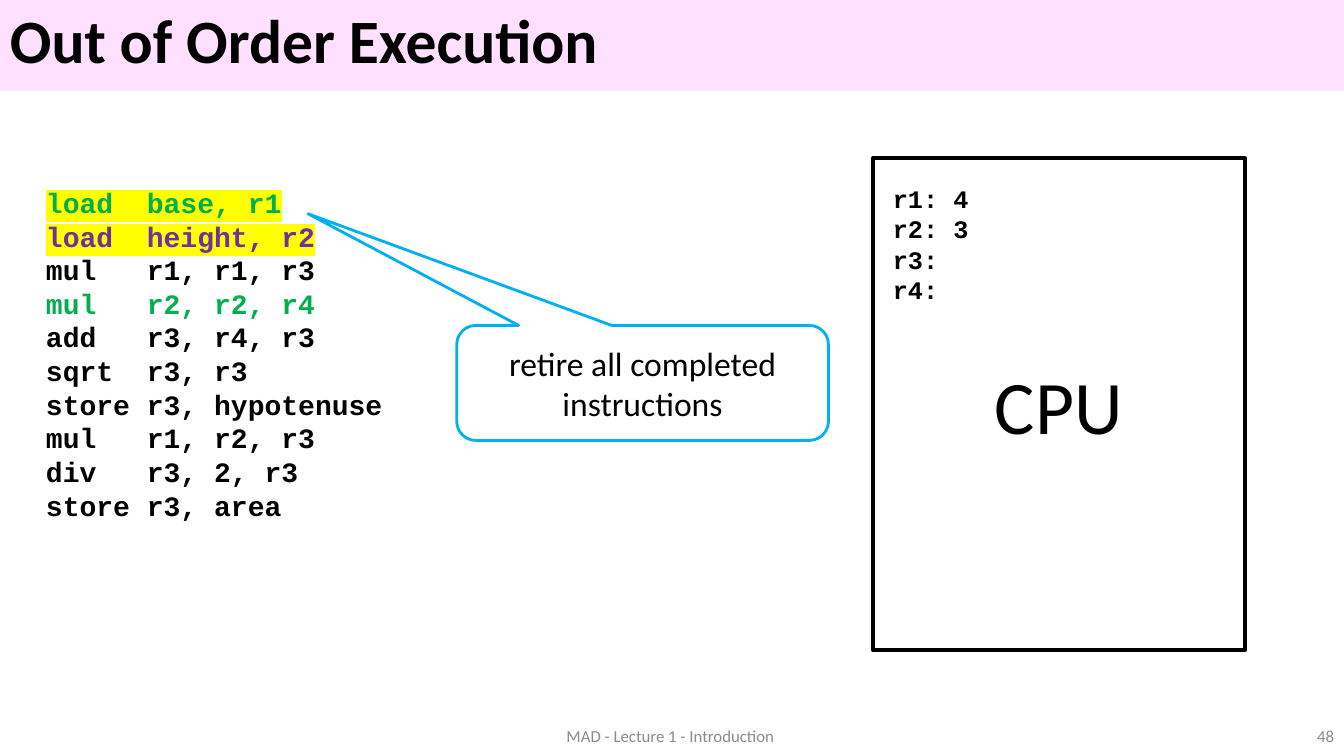
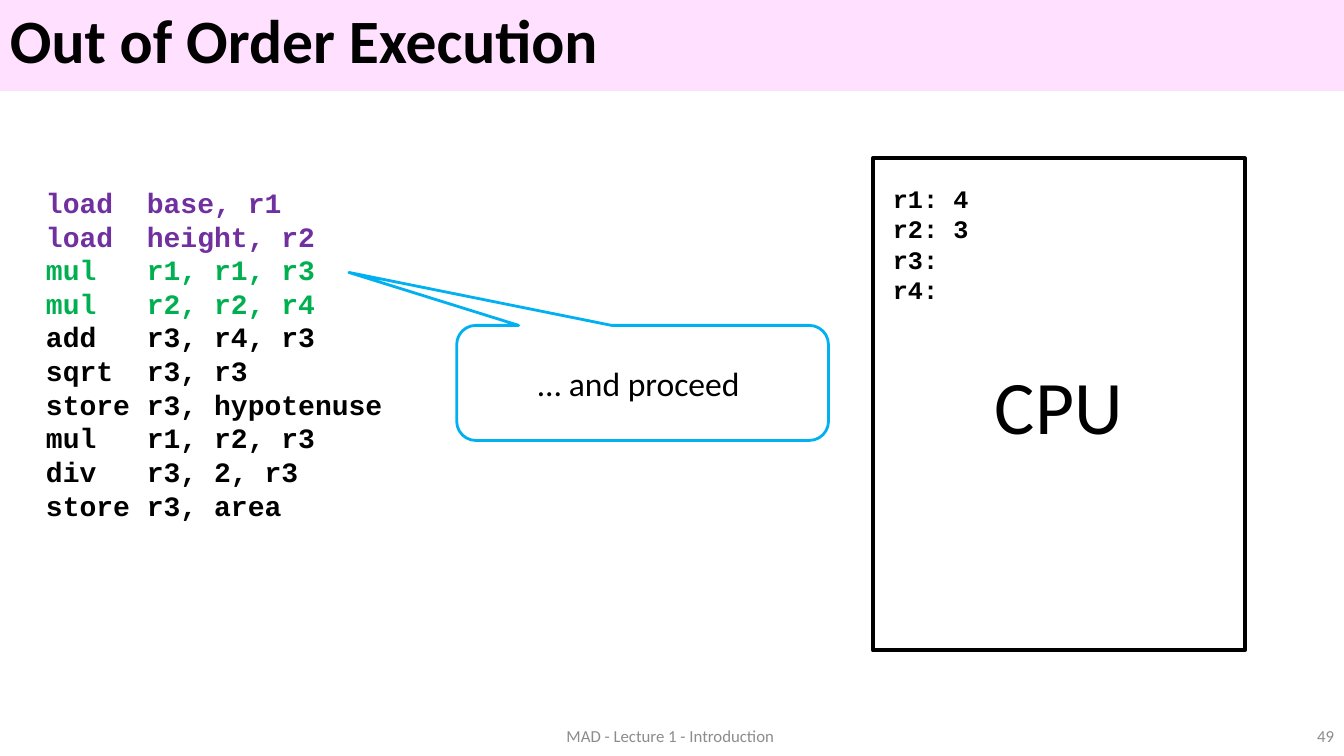
from copy import deepcopy
from dataclasses import dataclass

from lxml import etree
from pptx import Presentation, util as u
from pptx.dml.color import RGBColor
from pptx.enum import shapes, text
from pptx.oxml.ns import qn


@dataclass(frozen=True)
class Theme:
    # Colours
    ink: str = "000000"
    paper: str = "FFFFFF"
    band: str = "FFE0FF"
    grey: str = "8C8C8C"
    done: str = "00B050"
    retired: str = "7030A0"
    marker: str = "FFFF00"
    callout: str = "00B0F0"
    # Fonts and type sizes
    body: str = "Calibri"
    mono: str = "Courier New"
    title_pt: int = 44
    cpu_pt: int = 54
    callout_pt: int = 24
    code_pt: int = 20
    register_pt: int = 18
    footer_pt: int = 12


T = Theme()
WIDTH, HEIGHT = 33.87, 19.05
BAND_PERCENT = 12
MIDDLE = text.MSO_ANCHOR.MIDDLE
CENTER, RIGHT = text.PP_ALIGN.CENTER, text.PP_ALIGN.RIGHT

TITLE = "Out of Order Execution"
FOOTER = "MAD - Lecture 1 - Introduction "
CODE = [
    "load  base, r1",
    "load  height, r2",
    "mul   r1, r1, r3",
    "mul   r2, r2, r4",
    "add   r3, r4, r3",
    "sqrt  r3, r3",
    "store r3, hypotenuse",
    "mul   r1, r2, r3",
    "div   r3, 2, r3",
    "store r3, area",
]
REGISTERS = ["r1: 4", "r2: 3", "r3:", "r4:"]

# Per slide: number, line colours, highlighted lines, callout text and tip
STEPS = [
    (48, {0: T.done, 1: T.retired, 3: T.done}, {0, 1},
     "retire all completed instructions", (-0.9, -1.47)),
    (49, {0: T.retired, 1: T.retired, 2: T.done, 3: T.done}, set(),
     "… and proceed ", (-0.79, -0.96)),
]


def box(left, top, width, height):
    return [u.Cm(v) for v in (left, top, width, height)]


def highlight(r, color):
    """Mark a run whose colour is already set."""
    mark = etree.Element(qn("a:highlight"))
    etree.SubElement(mark, qn("a:srgbClr"), val=color)
    r.font._element.find(qn("a:solidFill")).addnext(mark)


def write(sp, lines, size, font=T.body, color=T.ink, bold=False, align=None,
          anchor=None, spacing=None, colors=None, marked=()):
    """Fill a shape with one paragraph per line; colors overrides by line."""
    tf = sp.text_frame
    tf.word_wrap = True
    if anchor is not None:
        tf.vertical_anchor = anchor
    for i, line in enumerate(lines):
        p = tf.paragraphs[0] if i == 0 else tf.add_paragraph()
        p.alignment = align
        p.line_spacing = spacing
        r = p.add_run()
        r.text = line
        r.font.name, r.font.size, r.font.bold = font, u.Pt(size), bold
        r.font.color.rgb = RGBColor.from_string((colors or {}).get(i, color))
        if i in marked:
            highlight(r, T.marker)


def add_text(parent, at, lines, size, **fmt):
    write(parent.add_textbox(*box(*at)), lines, size, **fmt)


def add_outlined(parent, kind, at, line, weight, fill=None):
    sp = parent.add_shape(kind, *box(*at))
    sp.shadow.inherit = False
    if fill:
        sp.fill.solid()
        sp.fill.fore_color.rgb = RGBColor.from_string(fill)
    else:
        sp.fill.background()
    sp.line.color.rgb = RGBColor.from_string(line)
    sp.line.width = u.Pt(weight)
    return sp


def set_background(master):
    """Title band as a hard-edged gradient shared by all slides."""
    fill = master.background.fill
    fill.gradient()
    fill.gradient_angle = 270
    stops = master.element.find(".//" + qn("p:bg")).find(".//" + qn("a:gsLst"))
    for _ in range(2):
        stops.append(deepcopy(stops[0]))
    ramp = [(0, T.band), (BAND_PERCENT, T.band),
            (BAND_PERCENT, T.paper), (100, T.paper)]
    for stop, (percent, color) in zip(fill.gradient_stops, ramp):
        stop.color.rgb = RGBColor.from_string(color)
        stop.position = percent / 100


def add_frame(s, number):
    """Title, slide number and footer."""
    add_text(s.shapes, (0, 0, WIDTH, 2.21), [TITLE], T.title_pt,
             bold=True, anchor=MIDDLE, spacing=0.9)
    top, height = 18.03, 1.02
    for left, width, label, align in [
            (WIDTH - 7.62, 7.62, str(number), RIGHT),
            (11.23, 11.43, FOOTER, CENTER)]:
        add_text(s.shapes, (left, top, width, height), [label], T.footer_pt,
                 color=T.grey, align=align, anchor=MIDDLE)


def add_cpu(s):
    """Processor box grouped with its registers."""
    group = s.shapes.add_group_shape().shapes
    cpu = add_outlined(group, shapes.MSO_SHAPE.RECTANGLE,
                       (22, 3.99, 9.37, 12.4), T.ink, 3)
    write(cpu, ["CPU"], T.cpu_pt, align=CENTER, anchor=MIDDLE)
    add_text(group, (22.25, 4.5, 4.78, 3.33), REGISTERS, T.register_pt,
             font=T.mono, bold=True)


def add_callout(s, label, tip):
    sp = add_outlined(s.shapes, shapes.MSO_SHAPE.ROUNDED_RECTANGULAR_CALLOUT,
                      (11.51, 8.2, 9.37, 2.9), T.callout, 2, fill=T.paper)
    sp.adjustments[0], sp.adjustments[1] = tip
    write(sp, [label], T.callout_pt, align=CENTER, anchor=MIDDLE)


def main():
    prs = Presentation()
    prs.slide_width, prs.slide_height = u.Cm(WIDTH), u.Cm(HEIGHT)
    set_background(prs.slide_master)
    for number, colors, marked, label, tip in STEPS:
        s = prs.slides.add_slide(prs.slide_layouts[6])
        add_frame(s, number)
        add_text(s.shapes, (0.91, 4.55, 9.7, 8.81), CODE, T.code_pt,
                 font=T.mono, bold=True, colors=colors, marked=marked)
        add_cpu(s)
        add_callout(s, label, tip)
    prs.save("out.pptx")


if __name__ == "__main__":
    main()
